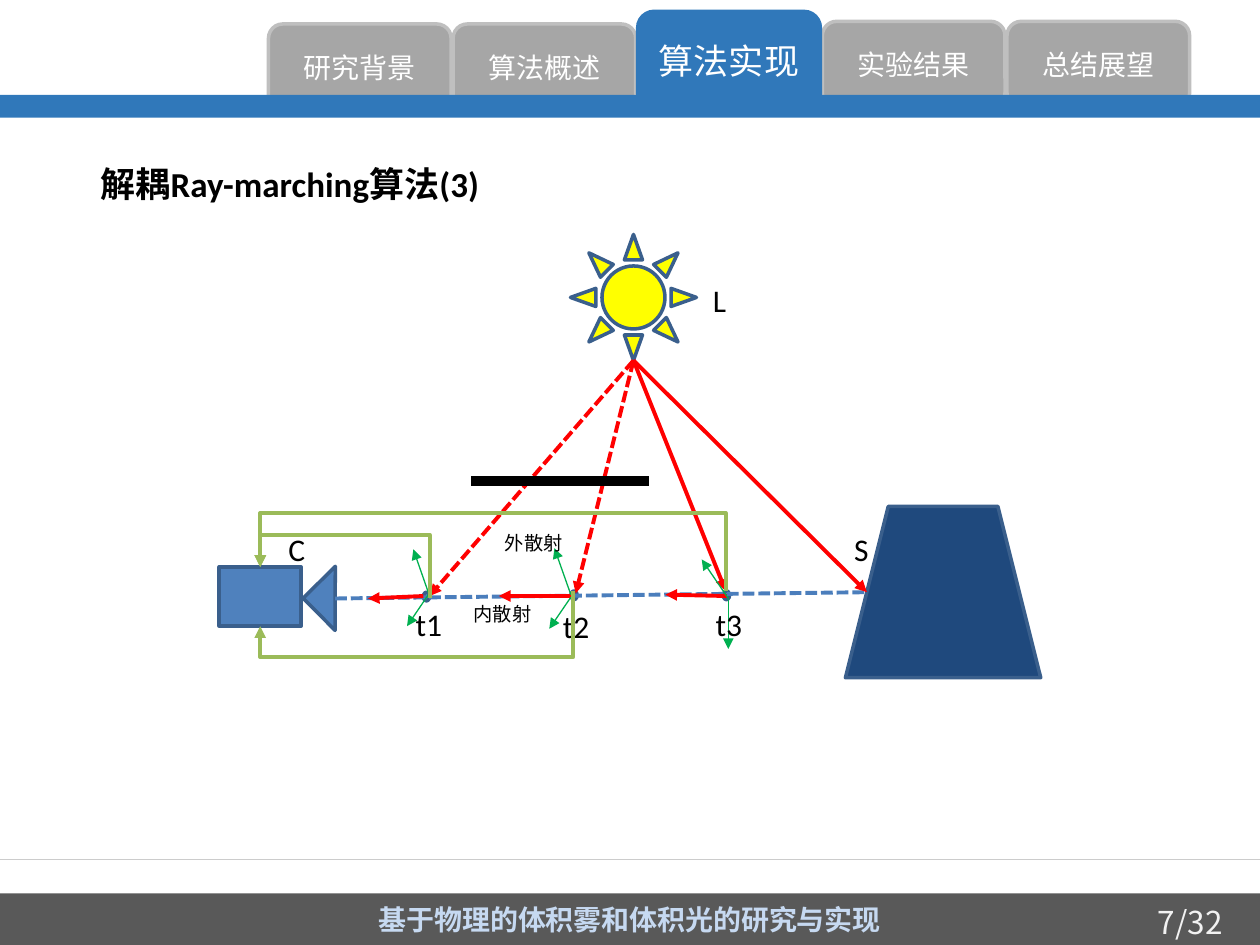
from lxml import etree
from pptx import Presentation
from pptx.dml.color import RGBColor
from pptx.enum.dml import MSO_LINE
from pptx.enum.shapes import MSO_CONNECTOR, MSO_SHAPE
from pptx.enum.text import MSO_ANCHOR, PP_ALIGN
from pptx.oxml.ns import qn
from pptx.util import Pt

RECT, ROUNDED, OVAL = MSO_SHAPE.RECTANGLE, MSO_SHAPE.ROUNDED_RECTANGLE, MSO_SHAPE.OVAL
SUN, TRAPEZOID, TRIANGLE = MSO_SHAPE.SUN, MSO_SHAPE.TRAPEZOID, MSO_SHAPE.RIGHT_TRIANGLE
STRAIGHT, ELBOW = MSO_CONNECTOR.STRAIGHT, MSO_CONNECTOR.ELBOW
DASH = MSO_LINE.SQUARE_DOT
CENTER, MIDDLE = PP_ALIGN.CENTER, MSO_ANCHOR.MIDDLE

WHITE = RGBColor(0xFF, 0xFF, 0xFF)
BLACK = RGBColor(0, 0, 0)
TAB_GRAY = RGBColor(0xA6, 0xA6, 0xA6)
TAB_EDGE = RGBColor(0xBF, 0xBF, 0xBF)
HEADER_BLUE = RGBColor(0x30, 0x78, 0xBA)
FOOTER_GRAY = RGBColor(0x59, 0x59, 0x59)
FOOTER_TEXT = RGBColor(0xC6, 0xD9, 0xF1)
PAGE_TEXT = RGBColor(0xF2, 0xF2, 0xF2)
RULE_GRAY = RGBColor(0xCC, 0xCC, 0xCC)
BLUE = RGBColor(0x4F, 0x81, 0xBD)
EDGE_BLUE = RGBColor(0x3A, 0x5F, 0x8C)
VIEW_BLUE = RGBColor(0x4B, 0x7E, 0xBC)
NAVY = RGBColor(0x1F, 0x49, 0x7D)
YELLOW = RGBColor(0xFF, 0xFF, 0)
RED = RGBColor(0xFF, 0, 0)
GREEN = RGBColor(0, 0xB0, 0x50)
OLIVE = RGBColor(0x9B, 0xBB, 0x59)
CJK, LATIN = "Noto Sans CJK SC", "Calibri"

# label, top
TABS = [("研究背景", 13.7), ("算法概述", 13.7), ("算法实现", 6.5),
        ("实验结果", 12.2), ("总结展望", 12.2)]
ACTIVE_TAB = 2
TAB_LEFT, TAB_PITCH, TAB_WIDTH, TAB_HEIGHT = 153.4, 105.5, 104.4, 49

LIGHT = (362, 206)
SURFACE = (495.4, 338.4)
CAMERA = (125.3, 324, 46.8, 33.8)
CAMERA_X = CAMERA[0] + CAMERA[2] / 2
CAMERA_TOP, CAMERA_BOTTOM = CAMERA[1], CAMERA[1] + CAMERA[3]

# kind, box, fill, rotation
SCENE = [
    (SUN, (326, 134, 72, 72), YELLOW, 0),
    (TRAPEZOID, (483.1, 289.4, 111.6, 97.9), NAVY, 0),
    (OVAL, (326.2, 337.7, 3.6, 5), BLUE, 0),
    (OVAL, (241.9, 338.4, 3.6, 5), BLUE, 0),
    (OVAL, (413.3, 337.7, 3.6, 5), BLUE, 0),
    (RECT, CAMERA, BLUE, 0),
    (TRIANGLE, (178.6, 329, 25.9, 25.9), BLUE, 45.2),
]
# start, end, colour, weight, dashed, arrow
RAYS = [
    ((191.5, 342), SURFACE, VIEW_BLUE, 2.25, True, False),
    (LIGHT, SURFACE, RED, 2.25, False, True),
    (LIGHT, (414.7, 337.7), RED, 2.25, False, True),
    (LIGHT, (329, 339.1), RED, 2.25, True, True),
    (LIGHT, (245.5, 340.6), RED, 2.25, True, True),
    ((241.9, 340.6), (210.2, 342), RED, 2.25, False, True),
    ((326.2, 340.6), (285.1, 340.6), RED, 2.25, False, True),
    ((415.4, 340.6), (380.2, 339.8), RED, 2.25, False, True),
    ((269.3, 275), (370.8, 275), BLACK, 6, False, False),
]
# start, end
SCATTER = [
    ((245.5, 340.6), (236.2, 313.9)), ((244.8, 339.8), (232.6, 357.8)),
    ((326.2, 339.8), (316.8, 313.2)), ((326.2, 341.3), (313.9, 359.3)),
    ((416.2, 342), (401, 319.7)), ((416.2, 342), (416.2, 370.8)),
]
# start, end y at the camera, height of the crossbar
RETURNS = [
    ((245.5, 342), CAMERA_TOP, 305.6),
    ((327.6, 337.7), CAMERA_BOTTOM, 375.5),
    ((414.7, 337.7), CAMERA_TOP, 293.2),
]
# text, box, size
LABELS = [
    ("L", (400.3, 157, 22.3, 28.8), 18),
    ("S", (481, 299.5, 23, 28.8), 18),
    ("C", (157.7, 299.5, 24.5, 28.8), 18),
    ("t1", (230.4, 342, 29.5, 28.8), 18),
    ("t2", (314.6, 343.4, 29.5, 28.8), 18),
    ("t3", (401.8, 342, 29.5, 28.8), 18),
    ("外散射", (281.5, 300.2, 47.5, 20.9), 11),
    ("内散射", (263.5, 340.6, 47.5, 20.9), 11),
]

prs = Presentation()
prs.slide_width, prs.slide_height = Pt(720), Pt(540)
shapes = prs.slides.add_slide(prs.slide_layouts[6]).shapes


def points(values):
    return [Pt(round(v, 2)) for v in values]


def write(shape, text, size, color, font=CJK, bold=False):
    paragraph = shape.text_frame.paragraphs[0]
    paragraph.text = text
    run = paragraph.runs[0]
    run.font.size, run.font.bold, run.font.name = Pt(size), bold, font
    run.font.color.rgb = color
    etree.SubElement(run._r.get_or_add_rPr(), qn("a:ea"), typeface=CJK)
    return paragraph


def add_block(kind, box, fill, edge=None):
    block = shapes.add_shape(kind, *points(box))
    block.shadow.inherit = False
    block.fill.solid()
    block.fill.fore_color.rgb = fill
    if edge is None:
        block.line.fill.background()
    else:
        block.line.color.rgb = edge
        block.line.width = Pt(2)
    return block


def add_caption_block(kind, box, fill, edge, text, size, color, bold=False):
    block = add_block(kind, box, fill, edge)
    block.text_frame.vertical_anchor = MIDDLE
    write(block, text, size, color, bold=bold).alignment = CENTER


def add_label(text, box, size, color=BLACK, font=LATIN, bold=False, wrap=False):
    label = shapes.add_textbox(*points(box))
    label.text_frame.word_wrap = wrap
    write(label, text, size, color, font, bold)


def add_line(start, end, color, weight, dashed=False, arrow=False, kind=STRAIGHT):
    line = shapes.add_connector(kind, *points(start + end))
    line.line.color.rgb = color
    line.line.width = Pt(weight)
    if dashed:
        line.line.dash_style = DASH
    if arrow:
        etree.SubElement(line.line._get_or_add_ln(), qn("a:tailEnd"), type="triangle")
    etree.SubElement(line._element.spPr, qn("a:effectLst"))
    return line


def add_return(start, end_y, bar_y):
    """Elbow arrow that leaves vertically, crosses at bar_y and enters the camera."""
    x, y = start
    width, height = abs(y - end_y), x - CAMERA_X
    left, top = (x + CAMERA_X - width) / 2, (y + end_y - height) / 2
    elbow = add_line((left, top), (left + width, top + height), OLIVE, 2.25,
                     arrow=True, kind=ELBOW)
    frame = elbow._element.spPr.find(qn("a:xfrm"))
    frame.set("rot", str(270 * 60000))
    frame.set("flipV", "1")
    if end_y > y:
        frame.set("flipH", "1")
    bend = round((y - bar_y) / (y - end_y) * 100000)
    guides = elbow._element.spPr.find(qn("a:prstGeom")).get_or_add_avLst()
    etree.SubElement(guides, qn("a:gd"), name="adj1", fmla=f"val {bend}")


def add_tab(index):
    text, top = TABS[index]
    active = index == ACTIVE_TAB
    height = 56.2 if active else TAB_HEIGHT
    box = (TAB_LEFT + index * TAB_PITCH, top, TAB_WIDTH, height)
    fill, edge = (HEADER_BLUE, HEADER_BLUE) if active else (TAB_GRAY, TAB_EDGE)
    add_caption_block(ROUNDED, box, fill, edge, text, 20 if active else 16, WHITE)


for index in range(len(TABS)):
    if index != ACTIVE_TAB:
        add_tab(index)
add_block(RECT, (0, 54.2, 720, 13), HEADER_BLUE)
add_tab(ACTIVE_TAB)

add_line((0, 491), (720, 491), RULE_GRAY, 0.5)
add_caption_block(RECT, (0, 510.5, 720, 29.5), FOOTER_GRAY, None,
                  "基于物理的体积雾和体积光的研究与实现", 16, FOOTER_TEXT, True)
add_label("7/32", (654.5, 512.6, 65.5, 28.8), 18, PAGE_TEXT, CJK, wrap=True)
add_label("解耦Ray-marching算法(3)", (50.4, 89.3, 360.7, 31.7), 20, bold=True, wrap=True)

for kind, box, fill, rotation in SCENE:
    add_block(kind, box, fill, EDGE_BLUE).rotation = rotation
for ray in RAYS:
    add_line(*ray)
for start, end in SCATTER:
    add_line(start, end, GREEN, 0.75, arrow=True)
for label in LABELS:
    add_label(*label)
for path_back in RETURNS:
    add_return(*path_back)

prs.save("out.pptx")
